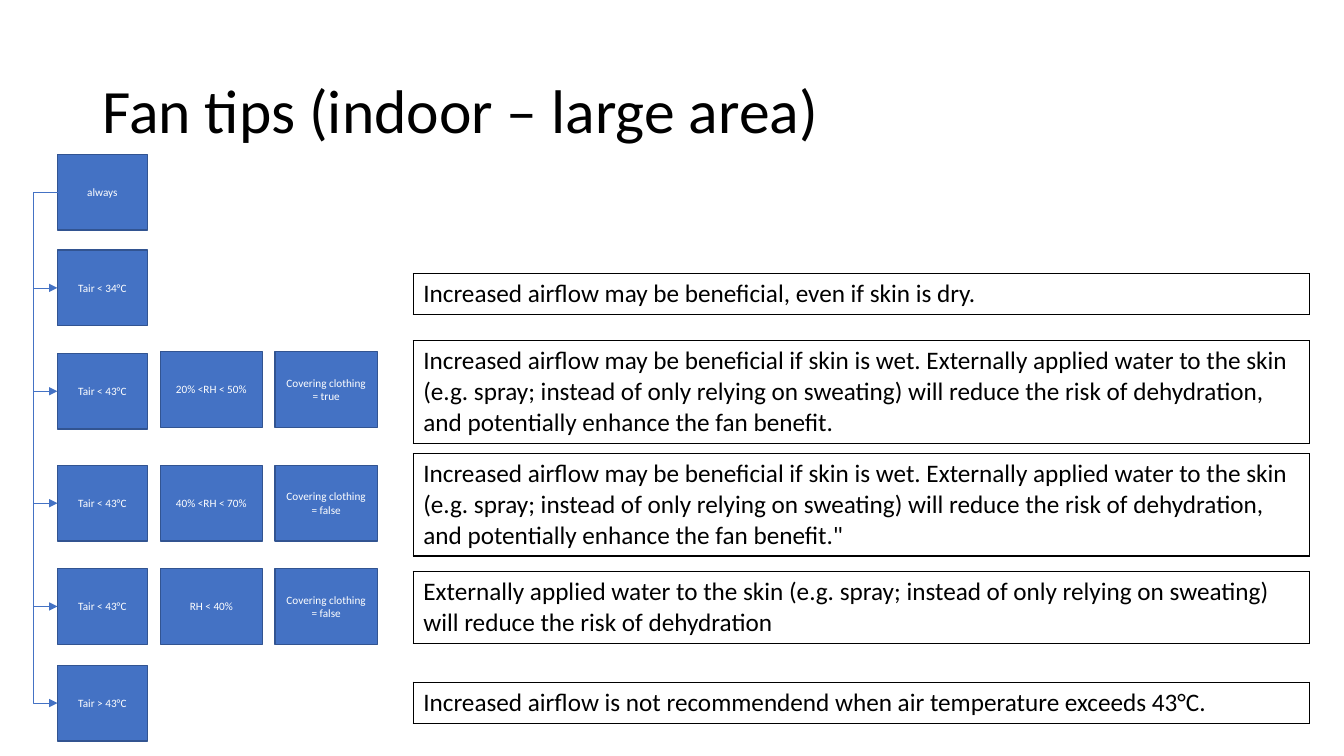
from lxml import etree
from pptx import Presentation
from pptx.dml.color import RGBColor
from pptx.enum.shapes import MSO_CONNECTOR, MSO_SHAPE
from pptx.enum.text import MSO_ANCHOR, PP_ALIGN
from pptx.oxml import parse_xml
from pptx.oxml.ns import nsdecls, qn
from pptx.util import Pt

BLUE = RGBColor(0x44, 0x72, 0xC4)
DARK_BLUE = RGBColor(0x32, 0x54, 0x91)
BLACK = RGBColor(0, 0, 0)
WHITE = RGBColor(255, 255, 255)
FONT = "Calibri"

BOX_H = 54
COLUMNS = [(41, 64.4), (114.5, 73), (196.5, 73)]
TIP_X, TIP_W = 295.2, 640
RAIL_OFFSET = 18

WET_SKIN = (
    "Increased airflow may be beneficial if skin is wet. Externally applied water "
    "to the skin (e.g. spray; instead of only relying on sweating) will reduce the "
    "risk of dehydration, and potentially enhance the fan benefit."
)
# Top of the first box, top of the other boxes, conditions, tip top, tip height, tip
RULES = [
    (110.2, 110.2, ["always"], None, None, None),
    (178.6, 178.6, ["Tair < 34°C"], 195.6, 29.2,
     "Increased airflow may be beneficial, even if skin is dry."),
    (252.5, 251.2, ["Tair < 43°C", "20% <RH < 50%", "Covering clothing = true"],
     243.4, 72.7, WET_SKIN),
    (332.4, 332.4, ["Tair < 43°C", "40% <RH < 70%", "Covering clothing = false"],
     324, 72.7, WET_SKIN + '"'),
    (406.2, 406.2, ["Tair < 43°C", "RH < 40%", "Covering clothing = false"], 408.2, 50.9,
     "Externally applied water to the skin (e.g. spray; instead of only relying on "
     "sweating) will reduce the risk of dehydration"),
    (475.2, 475.2, ["Tair > 43°C"], 487.4, 29.2,
     "Increased airflow is not recommendend when air temperature exceeds 43°C."),
]


def format_runs(p, size, color):
    for r in p.runs:
        r.font.name = FONT
        r.font.size = Pt(size)
        r.font.bold = False
        r.font.color.rgb = color


prs = Presentation()
prs.slide_width, prs.slide_height = Pt(960), Pt(540)
s = prs.slides.add_slide(prs.slide_layouts[5])

title = s.shapes.title
title.left, title.top, title.width, title.height = Pt(66), Pt(28.8), Pt(828), Pt(104.4)
tf = title.text_frame
tf.text = "Fan tips (indoor – large area)"
tf.vertical_anchor = MSO_ANCHOR.MIDDLE
p = tf.paragraphs[0]
p.alignment = PP_ALIGN.LEFT
p.line_spacing = 0.9
format_runs(p, 44, BLACK)

for first_top, other_top, conditions, tip_top, tip_h, tip in RULES:
    for i, (condition, (x, w)) in enumerate(zip(conditions, COLUMNS)):
        top = other_top if i else first_top
        sp = s.shapes.add_shape(MSO_SHAPE.RECTANGLE, Pt(x), Pt(top), Pt(w), Pt(BOX_H))
        sp.shadow.inherit = False
        sp.fill.solid()
        sp.fill.fore_color.rgb = BLUE
        sp.line.color.rgb = DARK_BLUE
        sp.line.width = Pt(1)
        tf = sp.text_frame
        tf.text = condition
        tf.word_wrap = True
        tf.vertical_anchor = MSO_ANCHOR.MIDDLE
        p = tf.paragraphs[0]
        p.alignment = PP_ALIGN.CENTER
        format_runs(p, 8, WHITE)

    if tip:
        table = s.shapes.add_table(1, 1, Pt(TIP_X), Pt(tip_top), Pt(TIP_W), Pt(tip_h)).table
        table.first_row = table.horz_banding = False
        cell = table.cell(0, 0)
        cell.text = tip
        format_runs(cell.text_frame.paragraphs[0], 18, BLACK)
        tc_pr = cell._tc.get_or_add_tcPr()
        for side in ("lnL", "lnR", "lnT", "lnB"):
            tc_pr.append(parse_xml(
                f'<a:{side} {nsdecls("a")} w="{Pt(1)}"><a:solidFill>'
                f'<a:srgbClr val="{BLACK}"/></a:solidFill></a:{side}>'))
        cell.fill.background()

# Each arrow leaves "always" on the left, follows the shared rail and enters its rule
box_x = COLUMNS[0][0]
start_y = RULES[0][0] + BOX_H / 2
for rule in RULES[1:]:
    end_y = rule[0] + BOX_H / 2
    arrow = s.shapes.add_connector(
        MSO_CONNECTOR.ELBOW, Pt(box_x + 1), Pt(start_y), Pt(box_x), Pt(end_y))
    arrow.line.color.rgb = BLUE
    arrow.line.width = Pt(0.5)
    sp_pr = arrow._element.spPr
    xfrm = sp_pr.find(qn("a:xfrm"))
    xfrm.attrib.pop("flipH", None)
    xfrm.set("rot", "10800000")
    xfrm.set("flipV", "1")
    adjustments = sp_pr.find(qn("a:prstGeom")).find(qn("a:avLst"))
    etree.SubElement(adjustments, qn("a:gd"), name="adj1", fmla=f"val {RAIL_OFFSET * 100000}")
    etree.SubElement(sp_pr.find(qn("a:ln")), qn("a:tailEnd"), type="triangle")
    etree.SubElement(sp_pr, qn("a:effectLst"))

prs.save("out.pptx")
